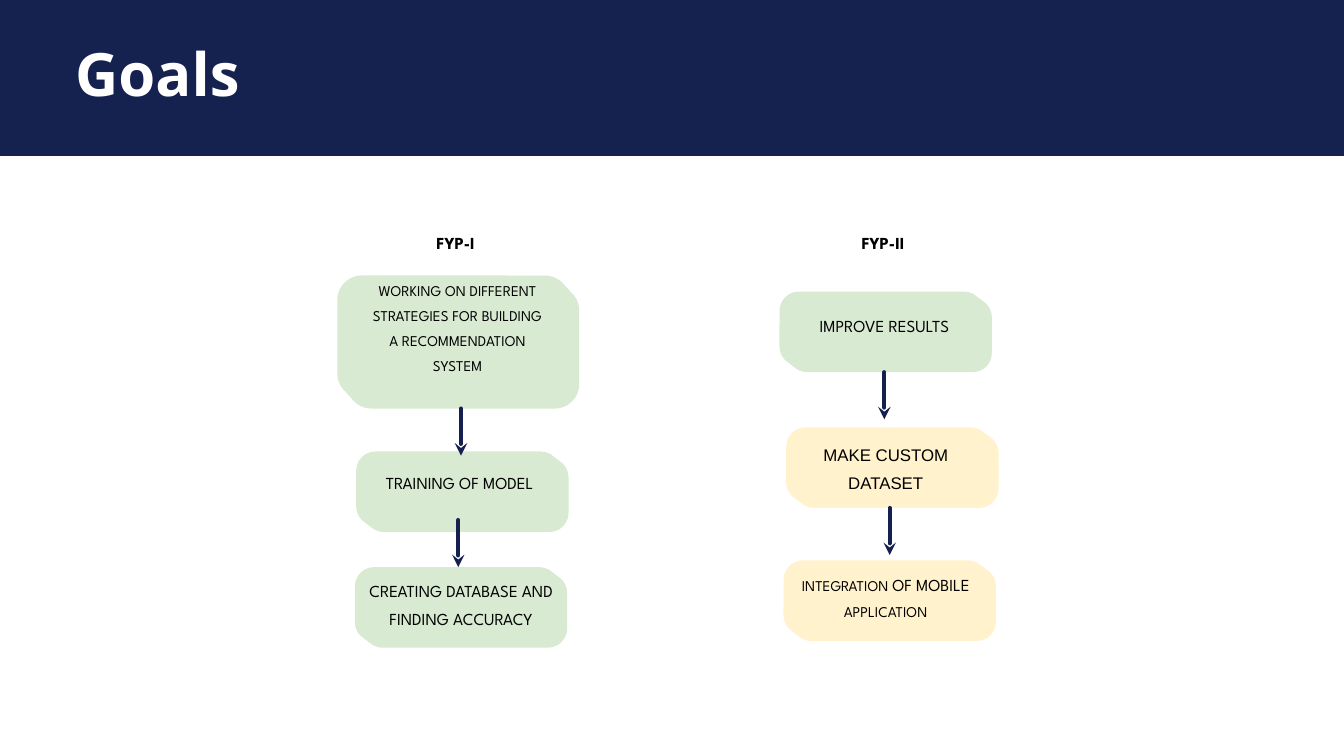
"""Build the Goals slide: two columns of project steps joined by arrows."""
from dataclasses import dataclass

import pptx
import pptx.dml.color
import pptx.enum.shapes
import pptx.enum.text
import pptx.oxml
import pptx.oxml.ns
import pptx.shapes.base
import pptx.slide
import pptx.util

ALIGN = pptx.enum.text.PP_ALIGN
FORM = pptx.enum.shapes.MSO_SHAPE


@dataclass(frozen=True)
class Theme:
    navy: str = "152250"
    arrow: str = "152050"
    green: str = "D9EAD3"
    cream: str = "FFF2CC"
    white: str = "FFFFFF"
    black: str = "000000"
    head: str = "Open Sans"
    body: str = "League Spartan"
    plain: str = "Arial"
    large: int = 32
    base: int = 9
    small: int = 8
    line: float = 2.25


@dataclass(frozen=True)
class Box:
    col: float
    row: float
    wide: float
    high: float


@dataclass(frozen=True)
class Run:
    text: str
    size: int


@dataclass(frozen=True)
class Card:
    area: Box
    fill: str
    label: Box
    runs: tuple[Run, ...]
    font: str
    bend: float = 0.26


@dataclass(frozen=True)
class Arrow:
    col: float
    row: float


LOOK = Theme()
COLS, ROWS = 100, 56.25
STEP = 3.5
SIZE = (15.8, 6)
CARDS = (
    Card(Box(25.1, 20.5, 18, 9.9), LOOK.green, Box(27.6, 20.4, 12.9, 9.4),
         (Run("WORKING ON DIFFERENT STRATEGIES FOR BUILDING A RECOMMENDATION SYSTEM",
              LOOK.small),), LOOK.body, 0.2),
    Card(Box(26.5, 33.6, *SIZE), LOOK.green, Box(28, 34.6, 12.4, 2.1),
         (Run("TRAINING OF MODEL", LOOK.base),), LOOK.body),
    Card(Box(26.4, 42.2, *SIZE), LOOK.green, Box(26.9, 42.6, 14.8, 4.2),
         (Run("CREATING DATABASE AND FINDING ACCURACY", LOOK.base),), LOOK.body),
    Card(Box(58, 21.7, *SIZE), LOOK.green, Box(59.6, 22.9, 12.4, 1.5),
         (Run("IMPROVE RESULTS", LOOK.base),), LOOK.body),
    Card(Box(58.5, 31.8, *SIZE), LOOK.cream, Box(58.7, 32.5, 14.4, 4.2),
         (Run("MAKE CUSTOM DATASET", LOOK.base),), LOOK.plain),
    Card(Box(58.3, 41.7, *SIZE), LOOK.cream, Box(58.5, 42.2, 14.8, 4),
         (Run("INTEGRATION ", LOOK.small), Run("OF MOBILE ", LOOK.base),
          Run("APPLICATION", LOOK.small)), LOOK.body),
)
HEADS = (("FYP-I", 27.7), ("FYP-II", 59.5))
ARROWS = (Arrow(34.3, 30.4), Arrow(34.1, 38.7), Arrow(65.8, 27.7), Arrow(66.2, 37.8))

deck = pptx.Presentation()
deck.slide_width = pptx.util.Inches(10)
deck.slide_height = deck.slide_width * 9 // 16


def across(cols: float) -> int:
    return round(deck.slide_width * cols / COLS)


def down(rows: float) -> int:
    return round(deck.slide_height * rows / ROWS)


def place(box: Box) -> tuple[int, int, int, int]:
    return across(box.col), down(box.row), across(box.wide), down(box.high)


def tint(code: str) -> pptx.dml.color.RGBColor:
    return pptx.dml.color.RGBColor.from_string(code)


def write(shape: pptx.shapes.base.BaseShape, runs: tuple[Run, ...], *,
          font: str = LOOK.body, fill: str = LOOK.black, bold: bool = False,
          align: ALIGN = ALIGN.CENTER, lead: float = 1.4) -> None:
    frame = shape.text_frame
    frame.word_wrap = True
    frame.auto_size = pptx.enum.text.MSO_AUTO_SIZE.NONE
    frame.vertical_anchor = pptx.enum.text.MSO_ANCHOR.TOP
    frame.margin_left = frame.margin_right = 0
    frame.margin_top = frame.margin_bottom = 0
    para = frame.paragraphs[0]
    para.alignment = align
    para.line_spacing = lead
    para.space_before = pptx.util.Pt(0)
    for item in runs:
        run = para.add_run()
        run.text = item.text
        run.font.name = font
        run.font.size = pptx.util.Pt(item.size)
        run.font.bold = bold
        run.font.color.rgb = tint(fill)


def block(slide: pptx.slide.Slide, form: FORM, box: Box,
          fill: str) -> pptx.shapes.base.BaseShape:
    shape = slide.shapes.add_shape(form, *place(box))
    shape.shadow.inherit = False
    shape.fill.solid()
    shape.fill.fore_color.rgb = tint(fill)
    shape.line.fill.background()
    return shape


def label(slide: pptx.slide.Slide, box: Box, runs: tuple[Run, ...], **form) -> None:
    write(slide.shapes.add_textbox(*place(box)), runs, **form)


def draw_card(slide: pptx.slide.Slide, card: Card) -> None:
    area = card.area
    right, drop = 0.04 * area.wide, 0.08 * area.high
    for part in (1, 0.5, 0):
        pane = Box(area.col + part * right, area.row + part * drop,
                   area.wide - right, area.high - drop)
        shape = block(slide, FORM.ROUNDED_RECTANGLE, pane, card.fill)
        shape.adjustments[0] = card.bend
    label(slide, card.label, card.runs, font=card.font)


def draw_arrow(slide: pptx.slide.Slide, arrow: Arrow) -> None:
    col = across(arrow.col)
    line = slide.shapes.add_connector(
        pptx.enum.shapes.MSO_CONNECTOR.STRAIGHT,
        col, down(arrow.row), col, down(arrow.row + STEP))
    line.line.color.rgb = tint(LOOK.arrow)
    line.line.width = pptx.util.Pt(LOOK.line)
    space = pptx.oxml.ns.nsdecls("a")
    edge = line.line._get_or_add_ln()
    edge.set("cap", "rnd")
    edge.append(pptx.oxml.parse_xml(f'<a:tailEnd {space} type="stealth"/>'))
    line.element.spPr.append(pptx.oxml.parse_xml(f"<a:effectLst {space}/>"))


def main() -> None:
    slide = deck.slides.add_slide(deck.slide_layouts[5])
    block(slide, FORM.RECTANGLE, Box(0, 0, COLS, 11.6), LOOK.navy)
    title = slide.shapes.title
    title.left, title.top, title.width, title.height = place(Box(5.6, 1.7, 57.2, 5.4))
    write(title, (Run("Goals", LOOK.large),), font=LOOK.head, fill=LOOK.white,
          bold=True, align=ALIGN.JUSTIFY, lead=1.2)
    title.element.getparent().append(title.element)
    for card in CARDS:
        draw_card(slide, card)
    for text, col in HEADS:
        label(slide, Box(col, 16.7, 12.4, 1.5), (Run(text, LOOK.base),), bold=True)
    for arrow in ARROWS:
        draw_arrow(slide, arrow)
    deck.save("out.pptx")


if __name__ == "__main__":
    main()
